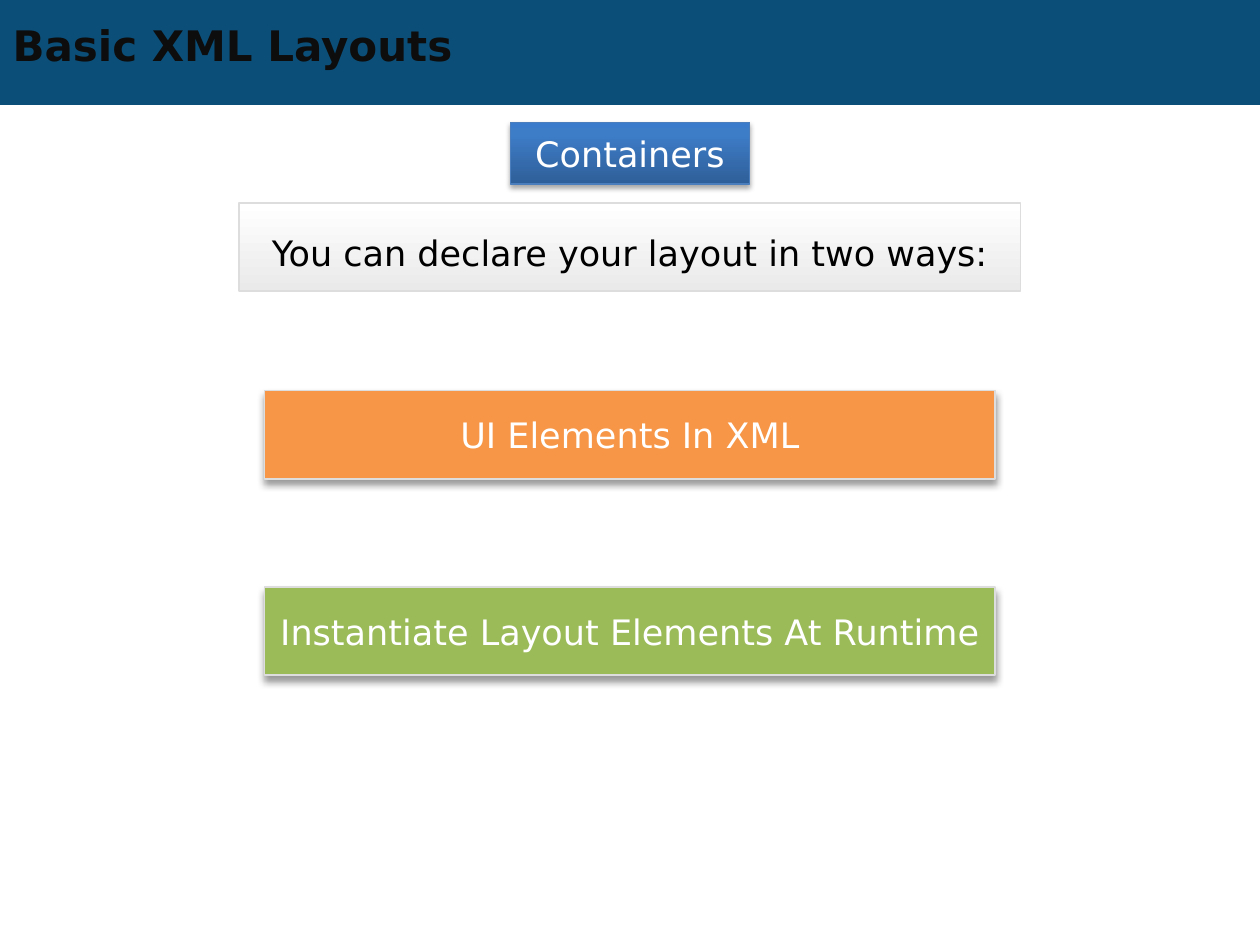
from lxml import etree
from pptx import Presentation
from pptx import util as u
from pptx.dml.color import RGBColor
from pptx.enum import shapes, text
from pptx.oxml import parse_xml
from pptx.oxml.ns import nsdecls, qn

THEME = {
    "font": "DejaVu Sans", "title_size": 24, "body_size": 20,
    "band": "0B4E78", "title": "0D0D0D", "light": "FFFFFF", "dark": "000000",
    "orange": "F79646", "green": "9BBB59", "edge": "DDDDDD", "blue_edge": "4B7EBC",
    "blue_fade": (270, [(0, "2F5F99"), (80, "3D7CC7"), (100, "3A7CCB")]),
    "grey_fade": (90, [(0, "FFFFFF"), (100, "EAEAEA")]),
    "soft_shadow": (35, 3.1, 1.8), "deep_shadow": (40, 4, 3),
}

deck = Presentation()
deck.slide_width, deck.slide_height = u.Inches(10), u.Inches(7.5)
page = deck.slides.add_slide(deck.slide_layouts[5])
column, row = deck.slide_width / 100, deck.slide_height / 75


def write(frame, words, size=THEME["body_size"], color=THEME["light"], bold=False,
          align=text.PP_ALIGN.CENTER, leading=None, inset=None):
    frame.word_wrap = True
    frame.auto_size = text.MSO_AUTO_SIZE.NONE
    frame.vertical_anchor = text.MSO_ANCHOR.MIDDLE
    if inset is not None:
        frame.margin_left = frame.margin_right = u.Inches(inset)
        frame.margin_top = frame.margin_bottom = u.Inches(inset)
    para = frame.paragraphs[0]
    para.alignment = align
    if leading:
        para.line_spacing = u.Pt(leading)
    span = para.add_run()
    span.text = words
    span.font.name, span.font.size, span.font.bold = THEME["font"], u.Pt(size), bold
    span.font.color.rgb = RGBColor.from_string(color)


def add_box(left, top, width, height, fill, edge=None, weight=1, shadow=None):
    box = page.shapes.add_shape(
        shapes.MSO_SHAPE.RECTANGLE, int(left * column), int(top * row),
        int(width * column), int(height * row))
    box.shadow.inherit = False
    properties = box._element.spPr
    if isinstance(fill, str):
        box.fill.solid()
        box.fill.fore_color.rgb = RGBColor.from_string(fill)
    else:
        angle, stops = fill
        marks = "".join(
            f'<a:gs pos="{share * 1000}"><a:srgbClr val="{color}"/></a:gs>'
            for share, color in stops)
        properties.insert(2, parse_xml(
            f'<a:gradFill {nsdecls("a")} rotWithShape="1"><a:gsLst>{marks}</a:gsLst>'
            f'<a:lin ang="{angle * 60000}" scaled="0"/></a:gradFill>'))
    if edge:
        box.line.color.rgb = RGBColor.from_string(edge)
        box.line.width = u.Pt(weight)
    else:
        box.line.fill.background()
    if shadow:
        alpha, blur, distance = shadow
        outer = etree.SubElement(
            properties.find(qn("a:effectLst")), qn("a:outerShdw"),
            blurRad=str(u.Pt(blur)), dist=str(u.Pt(distance)),
            dir="5400000", rotWithShape="0")
        shade = etree.SubElement(outer, qn("a:srgbClr"), val=THEME["dark"])
        etree.SubElement(shade, qn("a:alpha"), val=str(alpha * 1000))
    return box


band = add_box(0, 0, 100, 8.33, THEME["band"])
title = page.shapes.title
band._element.addnext(title._element)
title.left, title.top = 0, int(1.4 * row)
title.width, title.height = int(90 * column), int(4.3 * row)
write(title.text_frame, "Basic XML Layouts", size=THEME["title_size"],
      color=THEME["title"], bold=True, align=text.PP_ALIGN.LEFT)

heading = add_box(40.5, 9.7, 19, 4.9, THEME["blue_fade"], THEME["blue_edge"], 0.75,
                  THEME["soft_shadow"])
write(heading.text_frame, "Containers")

intro = add_box(19, 16.1, 62, 7, THEME["grey_fade"], THEME["edge"])
write(intro.text_frame, "You can declare your layout in two ways:",
      color=THEME["dark"], leading=30)

ways = [("UI Elements In XML", THEME["orange"]),
        ("Instantiate Layout Elements At Runtime", THEME["green"])]
for index, (words, fill) in enumerate(ways):
    way = add_box(21, 31 + index * 15.6, 58, 7, fill, THEME["edge"],
                  shadow=THEME["deep_shadow"])
    write(way.text_frame, words, inset=0)

deck.save("out.pptx")
